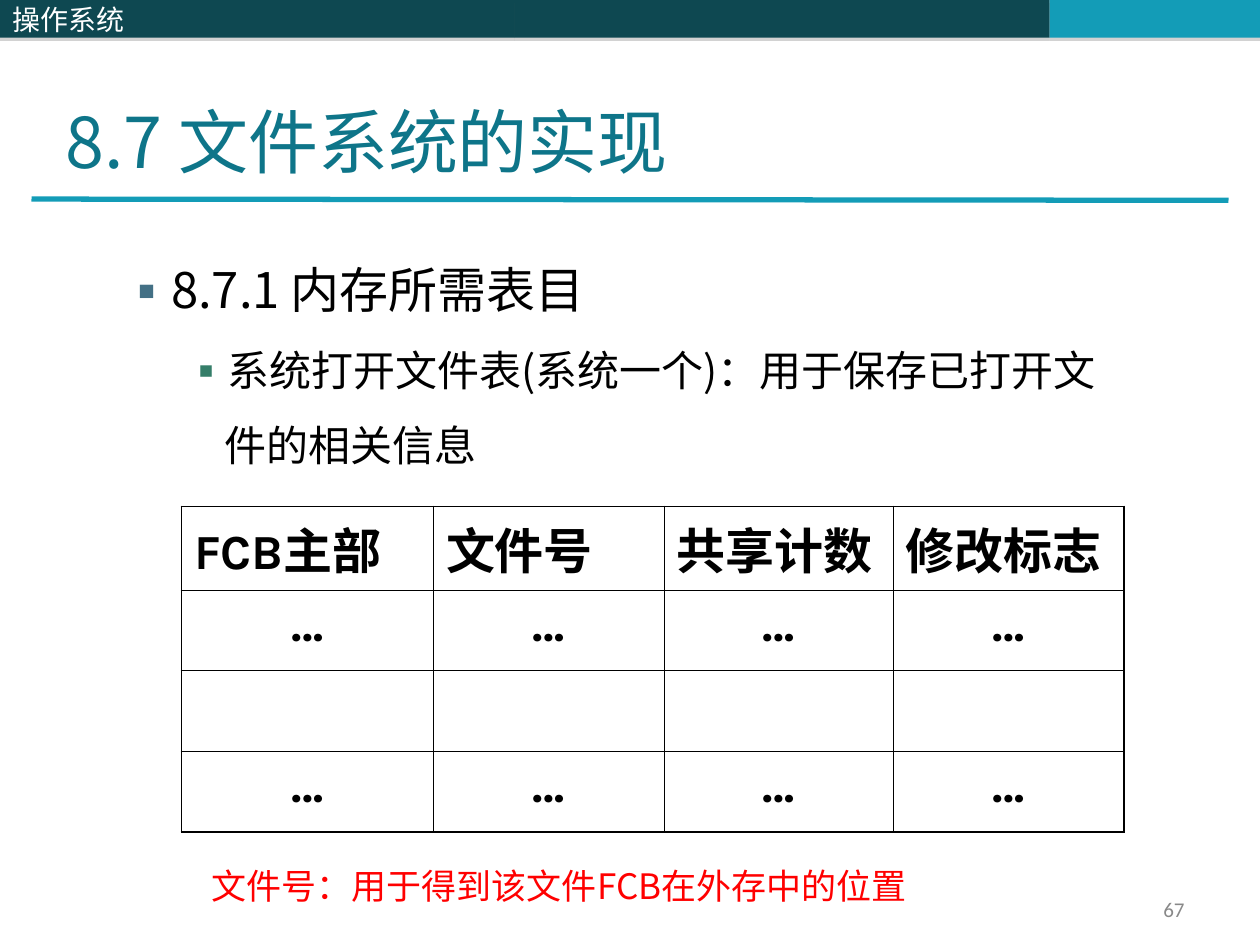
from lxml import etree
from pptx import Presentation
from pptx.dml.color import RGBColor
from pptx.enum.shapes import MSO_CONNECTOR, MSO_SHAPE
from pptx.enum.text import MSO_ANCHOR, MSO_AUTO_SIZE, PP_ALIGN
from pptx.oxml import parse_xml
from pptx.oxml.ns import nsdecls, qn
from pptx.util import Inches, Pt

DARK = RGBColor(0x0E, 0x48, 0x51)
TEAL = RGBColor(0x13, 0x9C, 0xB7)
TITLE = RGBColor(0x0E, 0x75, 0x89)
WHITE = RGBColor(0xFF, 0xFF, 0xFF)
BLACK = RGBColor(0x00, 0x00, 0x00)
RED = RGBColor(0xFF, 0x00, 0x00)
GREY = RGBColor(0x89, 0x89, 0x89)
BULLETS = [RGBColor(0x43, 0x70, 0x85), RGBColor(0x35, 0x7E, 0x69)]
CJK = "Noto Sans CJK SC"


def place(sp, box):
    sp.left, sp.top, sp.width, sp.height = (Inches(v) for v in box)


def add_run(p, text, size, color, font=CJK, bold=False):
    r = p.add_run()
    r.text = text
    r.font.size, r.font.name, r.font.bold = Pt(size), font, bold
    r.font.color.rgb = color
    ea = etree.SubElement(r.font._element, qn("a:ea"))
    ea.set("typeface", CJK)


def add_bar(slide, box, color):
    sp = slide.shapes.add_shape(MSO_SHAPE.RECTANGLE, *(Inches(v) for v in box))
    sp.fill.solid()
    sp.fill.fore_color.rgb = color
    sp.line.fill.background()
    sp._element.spPr.append(parse_xml(
        f'<a:effectLst {nsdecls("a")}><a:outerShdw dist="{Pt(1.8)}" dir="5400000">'
        '<a:srgbClr val="808080"><a:alpha val="35000"/></a:srgbClr>'
        '</a:outerShdw></a:effectLst>'))
    return sp


def add_header(slide, box):
    x, y, w, h = box
    split, end = x + 4.08, x + 8.33
    add_bar(slide, (split, y, end - split, h), DARK)
    add_bar(slide, (end, y, x + w - end, h), TEAL)
    tf = add_bar(slide, (x, y, split - x, h), DARK).text_frame
    tf.vertical_anchor = MSO_ANCHOR.MIDDLE
    p = tf.paragraphs[0]
    p.alignment = PP_ALIGN.LEFT
    add_run(p, "操作系统", 16, WHITE)


def add_title(slide, box):
    sp = slide.shapes.title
    place(sp, box)
    tf = sp.text_frame
    tf.auto_size = MSO_AUTO_SIZE.NONE
    tf.vertical_anchor = MSO_ANCHOR.BOTTOM
    p = tf.paragraphs[0]
    p.alignment = PP_ALIGN.LEFT
    add_run(p, "8.7 文件系统的实现", 40, TITLE)

    # Rule under the title
    rule = slide.shapes.add_connector(
        MSO_CONNECTOR.STRAIGHT, Inches(0.25), Inches(1.58), Inches(9.75), Inches(1.59))
    rule.line.color.rgb = TEAL
    rule.line.width = Pt(3)
    etree.SubElement(rule._element.spPr, qn("a:effectLst"))


def add_list(slide, box):
    sp = slide.placeholders[1]
    place(sp, box)
    tf = sp.text_frame
    tf.auto_size = MSO_AUTO_SIZE.NONE
    items = [
        (0, "8.7.1 内存所需表目", 28, 0.38, 0.38),
        (1, "系统打开文件表(系统一个)：用于保存已打开文件的相关信息", 24, 0.81, 0.31),
    ]
    for i, (level, text, size, margin, hang) in enumerate(items):
        p = tf.add_paragraph() if i else tf.paragraphs[0]
        p.level = level
        pPr = p._p.get_or_add_pPr()
        pPr.set("marL", str(Inches(margin)))
        pPr.set("indent", str(-Inches(hang)))
        color = etree.SubElement(pPr, qn("a:buClr"))
        etree.SubElement(color, qn("a:srgbClr")).set("val", str(BULLETS[level]))
        etree.SubElement(pPr, qn("a:buFont")).set("typeface", CJK)
        etree.SubElement(pPr, qn("a:buChar")).set("char", "▪")
        p.line_spacing = 1.5
        p.space_before = Pt(0)
        add_run(p, text, size, BLACK)


def set_borders(cell, widths):
    tcPr = cell._tc.get_or_add_tcPr()
    for side, width in zip("LRTB", widths):
        tcPr.append(parse_xml(
            f'<a:ln{side} {nsdecls("a")} w="{Pt(width)}"><a:solidFill>'
            f'<a:srgbClr val="{BLACK}"/></a:solidFill></a:ln{side}>'))


def add_file_table(slide, box):
    dots = ["…"] * 4
    rows = [["FCB主部", "文件号", "共享计数", "修改标志"], dots, [""] * 4, dots]
    last = len(rows) - 1
    table = slide.shapes.add_table(4, 4, *(Inches(v) for v in box)).table
    table.first_row = table.horz_banding = False
    for col, width in zip(table.columns, (2, 1.83, 1.82, 1.83)):
        col.width = Inches(width)
    for i, row in enumerate(rows):
        for j, text in enumerate(row):
            cell = table.cell(i, j)
            edges = (j == 0, j == last, i == 0, i == last)
            set_borders(cell, [1.08 if edge else 0.45 for edge in edges])
            cell.fill.background()
            if text:
                p = cell.text_frame.paragraphs[0]
                p.alignment = PP_ALIGN.CENTER if i else PP_ALIGN.LEFT
                add_run(p, text, 28, BLACK, "Karla", True)


def add_label(slide, box, text, size, color, font=CJK, align=PP_ALIGN.LEFT,
              anchor=MSO_ANCHOR.TOP):
    tf = slide.shapes.add_textbox(*(Inches(v) for v in box)).text_frame
    tf.word_wrap = True
    tf.vertical_anchor = anchor
    p = tf.paragraphs[0]
    p.alignment = align
    add_run(p, text, size, color, font)


def main():
    prs = Presentation()
    prs.slide_width, prs.slide_height = Inches(10), Inches(7.5)
    slide = prs.slides.add_slide(prs.slide_layouts[1])
    add_header(slide, (0, 0, 10, 0.3))
    add_title(slide, (0.42, 0.25, 8.52, 1.25))
    add_list(slide, (0.87, 1.78, 8.23, 1.47))
    add_file_table(slide, (1.44, 4.02, 7.48, 2.56))
    # Note below the table and page number
    add_label(slide, (1.58, 6.81, 6.26, 0.44),
              "文件号：用于得到该文件FCB在外存中的位置", 20, RED)
    add_label(slide, (7.17, 7.08, 2.33, 0.27), "67", 12, GREY, "Calibri",
              PP_ALIGN.RIGHT, MSO_ANCHOR.MIDDLE)
    prs.save("out.pptx")


if __name__ == "__main__":
    main()
